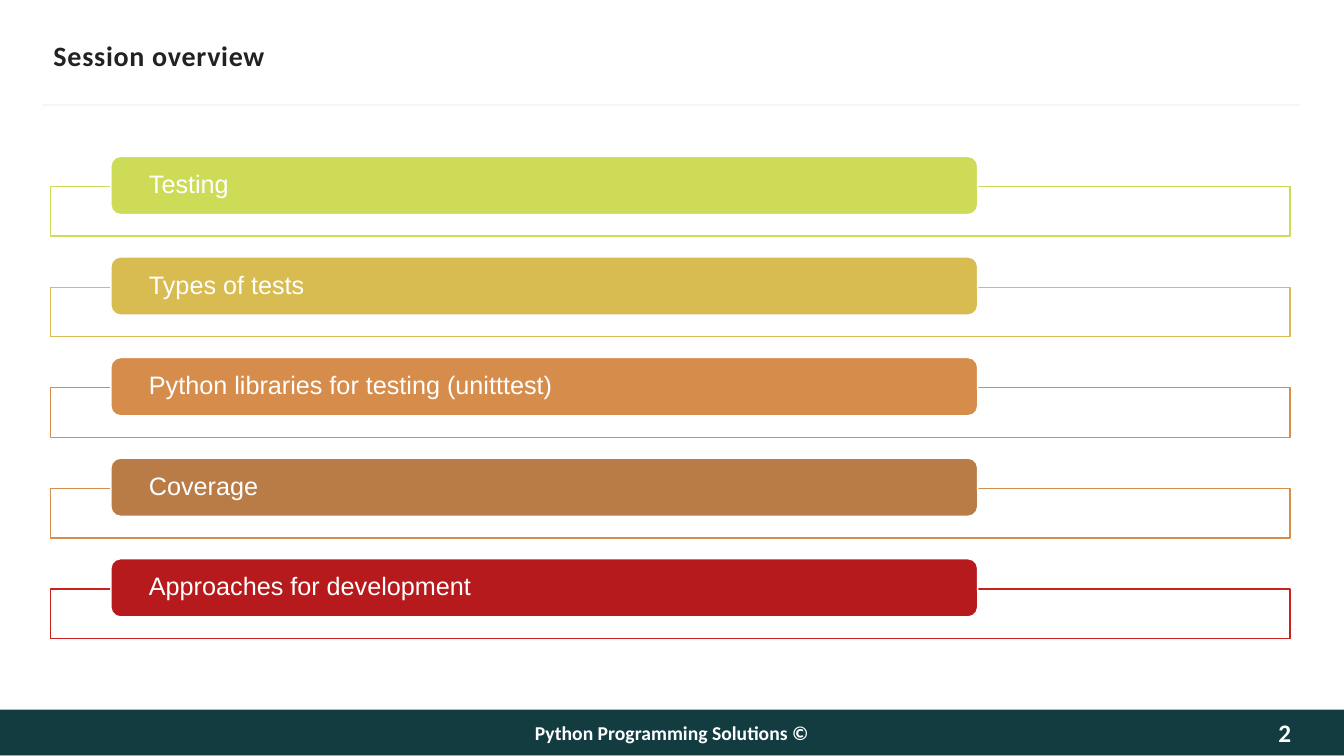
import pptx
import pptx.util
import pptx.dml.color
import pptx.enum.shapes
import pptx.enum.text
import pptx.oxml
import pptx.oxml.ns
import lxml.etree

Pt = pptx.util.Pt
Rgb = pptx.dml.color.RGBColor.from_string
Kind = pptx.enum.shapes.MSO_SHAPE
Align = pptx.enum.text.PP_ALIGN
qn = pptx.oxml.ns.qn

theme = {
    "head": "Calibri", "body": "Arial",
    "ink": "222222", "white": "FFFFFF", "page": "FEFEFE",
    "band": "133C41", "rule": "F5F5F5", "shade": "000000",
    "title": 20, "item": 18, "foot": 14, "number": 18,
}
topics = [
    ("Testing", "CEDB56", "CEDB56"),
    ("Types of tests", "D8BB51", "D8BB51"),
    ("Python libraries for testing (unitttest)", "D68D4C", "D68D4C"),
    ("Coverage", "BA7C46", "D68D4C"),
    ("Approaches for development", "B71A1C", "C9211E"),
]

deck = pptx.Presentation()
deck.slide_width, deck.slide_height = Pt(960), Pt(540)
slide = deck.slides.add_slide(deck.slide_layouts[6])
shapes = slide.shapes


def block(kind, left, top, width, height, fill, line=None):
    shape = shapes.add_shape(kind, Pt(left), Pt(top), Pt(width), Pt(height))
    shape.shadow.inherit = False
    shape.fill.solid()
    shape.fill.fore_color.rgb = Rgb(fill)
    if line:
        shape.line.color.rgb = Rgb(line)
        shape.line.width = Pt(1)
    else:
        shape.line.fill.background()
    return shape


def write(shape, text, font, size, color, bold, align, inset):
    frame = shape.text_frame
    frame.word_wrap = True
    frame.vertical_anchor = pptx.enum.text.MSO_ANCHOR.MIDDLE
    left, top, right, base = inset
    frame.margin_left, frame.margin_right = Pt(left), Pt(right)
    frame.margin_top, frame.margin_bottom = Pt(top), Pt(base)
    para = frame.paragraphs[0]
    para.text = text
    para.alignment = align
    face = para.runs[0].font
    face.name, face.size, face.bold = font, Pt(size), bold
    face.color.rgb = Rgb(color)
    return para


band = block(Kind.RECTANGLE, 0, 506.9, 960, 32.4, theme["band"])
effects = band.element.spPr.find(qn("a:effectLst"))
shade = lxml.etree.SubElement(effects, qn("a:outerShdw"), blurRad="0",
                              dist=str(Pt(1.8)), dir="5400000", rotWithShape="0")
tone = lxml.etree.SubElement(shade, qn("a:srgbClr"), val=theme["shade"])
lxml.etree.SubElement(tone, qn("a:alpha"), val="35000")

rule = shapes.add_connector(pptx.enum.shapes.MSO_CONNECTOR.STRAIGHT,
                            Pt(31), Pt(74.9), Pt(928.8), Pt(74.9))
rule.line.color.rgb = Rgb(theme["rule"])
rule.line.width = Pt(1.5)
lxml.etree.SubElement(rule.element.spPr, qn("a:effectLst"))

labels = [
    ("Session overview", (38.2, 23.8, 884.2, 31), "title", "ink", Align.LEFT, (0, 3.6, 0, 3.6)),
    ("Python Programming Solutions ©", (252, 506.9, 455.8, 32.4), "foot", "white",
     Align.CENTER, (7.2, 3.6, 7.2, 3.6)),
    ("2", (874.8, 506.9, 47.5, 32.4), "number", "page", Align.RIGHT, (0, 0, 0, 0)),
]
for text, place, size, color, align, inset in labels:
    box = shapes.add_textbox(*[Pt(side) for side in place])
    para = write(box, text, theme["head"], theme[size], theme[color], True, align, inset)
    if size == "title":
        para.runs[0].font._element.set("spc", "50")

for row, (text, fill, edge) in enumerate(topics):
    drop = row * 71.85
    frame = block(Kind.RECTANGLE, 36, 133.3 + drop, 885.6, 35.4, theme["white"], edge)
    tint = frame.element.spPr.find(qn("a:solidFill"))[0]
    lxml.etree.SubElement(tint, qn("a:alpha"), val="90000")
    bar = block(Kind.ROUNDED_RECTANGLE, 79.2, 111.7 + drop, 619.2, 41.6, fill, theme["white"])
    bar.adjustments[0] = 0.167
    para = write(bar, text, theme["body"], theme["item"], theme["white"], False,
                 Align.LEFT, (25.2, 2.2, 23.8, 2.2))
    para.line_spacing = 0.9
    para.space_after = Pt(6.3)

deck.save("out.pptx")
